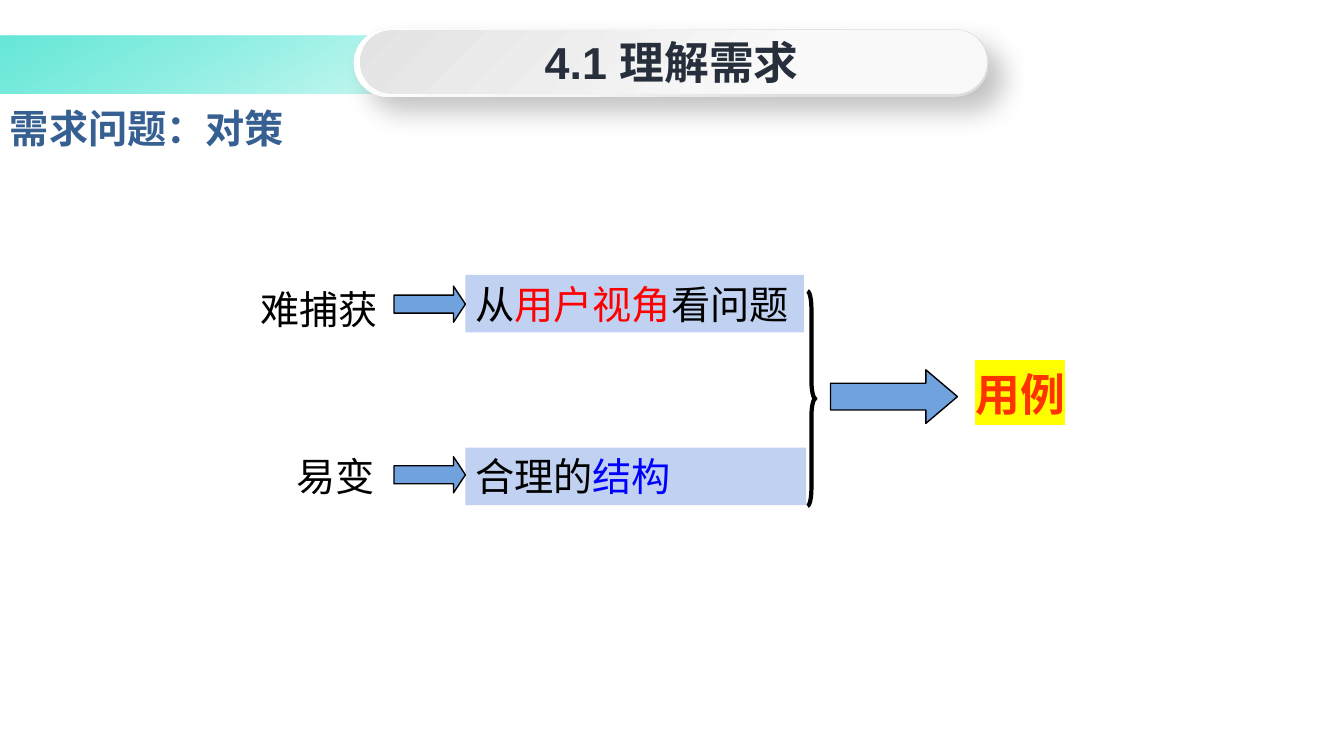
from dataclasses import dataclass

from lxml import etree
from pptx import Presentation
from pptx.dml.color import RGBColor
from pptx.enum.shapes import MSO_SHAPE
from pptx.enum.text import MSO_ANCHOR, PP_ALIGN
from pptx.oxml import parse_xml
from pptx.oxml.ns import qn
from pptx.shapes.autoshape import Shape
from pptx.util import Cm, Pt

RECT, PILL = MSO_SHAPE.RECTANGLE, MSO_SHAPE.ROUNDED_RECTANGLE
ARROW, BRACE = MSO_SHAPE.RIGHT_ARROW, MSO_SHAPE.RIGHT_BRACE
LEFT, CENTER, RIGHT = PP_ALIGN.LEFT, PP_ALIGN.CENTER, PP_ALIGN.RIGHT
TOP, MIDDLE = MSO_ANCHOR.TOP, MSO_ANCHOR.MIDDLE

BLACK = RGBColor(0x00, 0x00, 0x00)
RED = RGBColor(0xFF, 0x00, 0x00)
BLUE = RGBColor(0x00, 0x00, 0xFF)
ORANGE = RGBColor(0xFF, 0x33, 0x00)
YELLOW = RGBColor(0xFF, 0xFF, 0x00)
NAVY = RGBColor(0x26, 0x2F, 0x3B)
STEEL = RGBColor(0x37, 0x60, 0x92)
PALE_BLUE = RGBColor(0xC0, 0xD1, 0xF1)
ARROW_BLUE = RGBColor(0x70, 0xA2, 0xDE)
TEAL = RGBColor(0x4E, 0xE4, 0xD2)
DEEP_TEAL = RGBColor(0x20, 0xE2, 0xCB)
GREY_DE, GREY_E0 = RGBColor(0xDE, 0xDE, 0xDE), RGBColor(0xE0, 0xE0, 0xE0)
GREY_E3, GREY_F6 = RGBColor(0xE3, 0xE3, 0xE3), RGBColor(0xF6, 0xF6, 0xF6)
GREY_F9, WHITE = RGBColor(0xF9, 0xF9, 0xF9), RGBColor(0xFF, 0xFF, 0xFF)

NS = 'xmlns:a="http://schemas.openxmlformats.org/drawingml/2006/main"'
BODY = {"name": "Arial", "size": Pt(28), "bold": False}
HEADING = {"name": "Arial", "size": Pt(28), "bold": True}
LARGE = {"name": "Arial", "size": Pt(32), "bold": True}


@dataclass
class Box:
    left: float
    top: float
    width: float
    height: float

    def lengths(self) -> list:
        return [Cm(v) for v in (self.left, self.top, self.width, self.height)]


@dataclass
class Stop:
    position: int
    color: RGBColor
    opacity: int = 100


@dataclass
class Problem:
    label: str
    label_box: Box
    align: int
    arrow_top: float
    remedy: list
    remedy_box: Box


PROBLEMS = [
    Problem("难捕获", Box(6.32, 7.06, 3.81, 1.45), LEFT, 7.21,
            [("从", BLACK), ("用户视角", RED), ("看问题", BLACK)],
            Box(11.73, 6.93, 8.53, 1.45)),
    Problem("易变", Box(6.35, 11.28, 3.35, 1.45), RIGHT, 11.51,
            [("合理的", BLACK), ("结构", BLUE)],
            Box(11.73, 11.28, 8.59, 1.45)),
]


def write(sp: Shape, runs: list, fmt: dict, align: int = LEFT, anchor: int = TOP) -> None:
    tf = sp.text_frame
    tf.word_wrap = True
    tf.vertical_anchor = anchor
    p = tf.paragraphs[0]
    p.alignment = align
    for text, color in runs:
        r = p.add_run()
        r.text = text
        for name, value in fmt.items():
            setattr(r.font, name, value)
        r.font.color.rgb = color


def add_text(s, box: Box, runs: list, fmt: dict, align: int = LEFT, anchor: int = TOP) -> Shape:
    sp = s.shapes.add_textbox(*box.lengths())
    write(sp, runs, fmt, align, anchor)
    return sp


def add_plain(s, kind: int, box: Box, adjustments: tuple = ()) -> Shape:
    sp = s.shapes.add_shape(kind, *box.lengths())
    sp.shadow.inherit = False
    sp.line.fill.background()
    for i, value in enumerate(adjustments):
        sp.adjustments[i] = value
    return sp


def outline(sp: Shape, width: float) -> None:
    sp.line.color.rgb = BLACK
    sp.line.width = Pt(width)


def add_arrow(s, box: Box, head: float) -> None:
    sp = add_plain(s, ARROW, box, (0.5, head))
    sp.fill.solid()
    sp.fill.fore_color.rgb = ARROW_BLUE
    outline(sp, 1)


def add_gradient(s, kind: int, box: Box, stops: list, angle: int, adjustments: tuple = ()) -> Shape:
    sp = add_plain(s, kind, box, adjustments)
    sp.fill.background()
    marks = "".join(
        f'<a:gs pos="{g.position * 1000}"><a:srgbClr val="{g.color}">'
        f'<a:alpha val="{g.opacity * 1000}"/></a:srgbClr></a:gs>' for g in stops)
    grad = parse_xml(f'<a:gradFill {NS} rotWithShape="1"><a:gsLst>{marks}</a:gsLst>'
                     f'<a:lin ang="{angle * 60000}" scaled="0"/></a:gradFill>')
    props = sp._element.spPr
    props.replace(props.find(qn("a:noFill")), grad)
    return sp


def add_shadow(sp: Shape) -> None:
    effects = sp._element.spPr.find(qn("a:effectLst"))
    effects.append(parse_xml(
        f'<a:outerShdw {NS} blurRad="{Pt(19)}" dist="{Pt(14)}" dir="2700000" algn="tl" '
        f'rotWithShape="0"><a:srgbClr val="{BLACK}"><a:alpha val="24000"/></a:srgbClr></a:outerShdw>'))


def highlight(sp: Shape, color: RGBColor) -> None:
    for r in sp.text_frame.paragraphs[0].runs:
        mark = etree.Element(qn("a:highlight"))
        etree.SubElement(mark, qn("a:srgbClr")).set("val", str(color))
        r._r.rPr.find(qn("a:solidFill")).addnext(mark)


def add_header(s) -> None:
    add_gradient(s, RECT, Box(0, 0.91, 33.43, 1.45),
                 [Stop(1, TEAL, 85), Stop(50, DEEP_TEAL, 0)], 60)
    add_text(s, Box(0, 2.36, 33.87, 1.7), [("需求问题：对策", STEEL)], HEADING, anchor=MIDDLE)
    rim = add_gradient(s, PILL, Box(8.92, 0.74, 16, 1.7),
                       [Stop(1, GREY_DE), Stop(30, GREY_E0), Stop(61, GREY_F6), Stop(100, WHITE)],
                       225, (0.5,))
    add_shadow(rim)
    add_gradient(s, PILL, Box(9.07, 0.76, 15.8, 1.6),
                 [Stop(0, GREY_E3), Stop(67, GREY_F9)], 45, (0.5,))
    title = s.shapes.title
    title.left, title.top, title.width, title.height = Box(9.68, 0.74, 14.5, 1.63).lengths()
    write(title, [("4.1 理解需求", NAVY)], LARGE, CENTER)
    s.shapes._spTree.append(title._element)


def add_problem(s, problem: Problem) -> None:
    add_text(s, problem.label_box, [(problem.label, BLACK)], BODY, problem.align)
    sp = add_text(s, problem.remedy_box, problem.remedy, BODY)
    sp.fill.solid()
    sp.fill.fore_color.rgb = PALE_BLUE
    add_arrow(s, Box(9.93, problem.arrow_top, 1.8, 0.91), 0.33)


def main() -> None:
    prs = Presentation()
    prs.slide_width, prs.slide_height = Cm(33.87), Cm(19.05)
    s = prs.slides.add_slide(prs.slide_layouts[5])
    add_header(s)
    for problem in PROBLEMS:
        add_problem(s, problem)
    brace = add_plain(s, BRACE, Box(20.35, 7.34, 0.2, 5.41), (2.22, 0.5))
    brace.fill.background()
    outline(brace, 3)
    add_arrow(s, Box(20.93, 9.32, 3.2, 1.35), 0.59)
    use_case = add_text(s, Box(24.33, 9.12, 3.2, 1.63), [("用例", ORANGE)], LARGE)
    highlight(use_case, YELLOW)
    prs.save("out.pptx")


if __name__ == "__main__":
    main()
